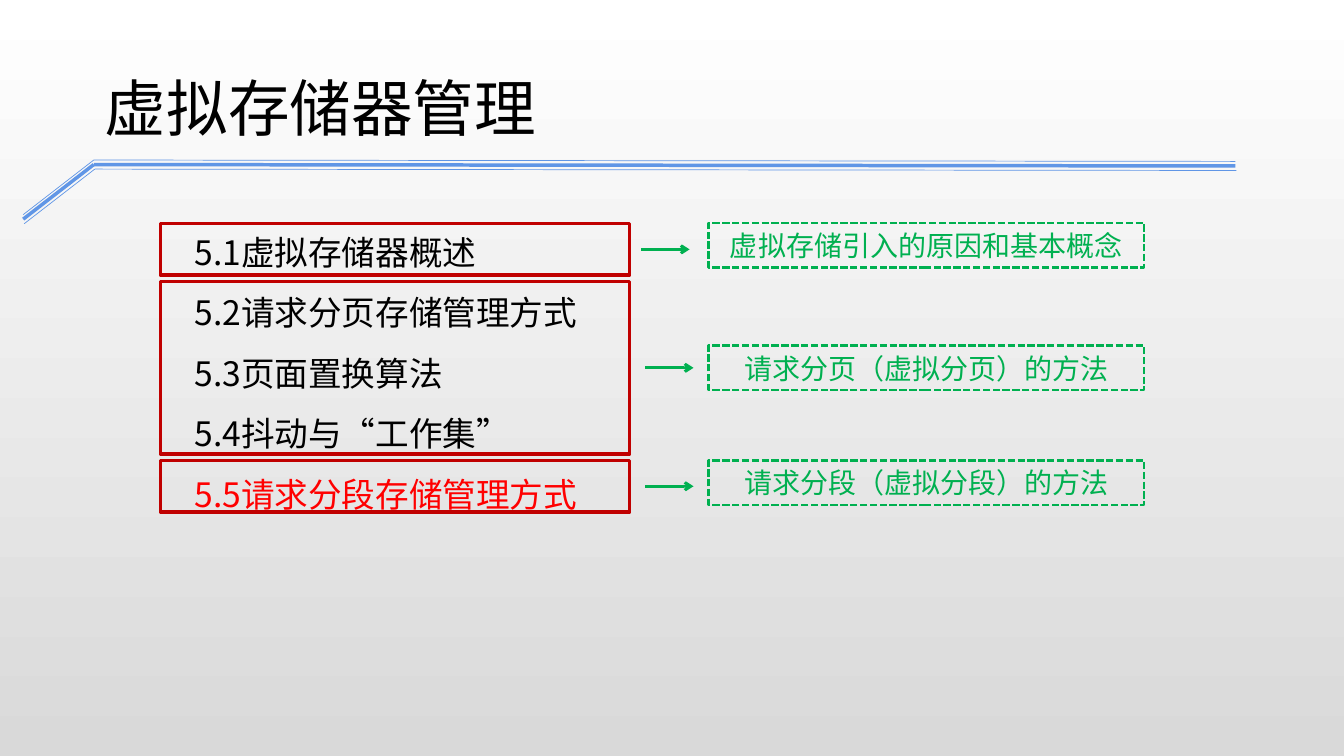
from dataclasses import dataclass
from lxml import etree
from pptx import Presentation
from pptx.dml.color import RGBColor
from pptx.enum.dml import MSO_LINE
from pptx.enum.shapes import MSO_CONNECTOR, MSO_SHAPE
from pptx.enum.text import MSO_ANCHOR, MSO_AUTO_SIZE, PP_ALIGN
from pptx.oxml.ns import qn
from pptx.util import Pt

STRAIGHT = MSO_CONNECTOR.STRAIGHT
RECTANGLE = MSO_SHAPE.RECTANGLE
DASHED = MSO_LINE.SQUARE_DOT
TOP, MIDDLE = MSO_ANCHOR.TOP, MSO_ANCHOR.MIDDLE
LEFT, CENTER = PP_ALIGN.LEFT, PP_ALIGN.CENTER
NO_AUTOFIT = MSO_AUTO_SIZE.NONE


@dataclass(frozen=True)
class Theme:
    """Colours, typeface and type sizes of the slide."""
    font: str = "Noto Sans CJK JP"
    ink: str = "000000"
    current: str = "FF0000"
    frame: str = "C00000"
    note: str = "00B050"
    rule: str = "6096E6"
    backdrop: tuple = ("FFFFFF", "D9D9D9")
    title_size: int = 44
    chapter_size: int = 24
    note_size: int = 20


THEME = Theme()
TITLE = "虚拟存储器管理"
CHAPTERS = [
    ("5.1虚拟存储器概述", THEME.ink),
    ("5.2请求分页存储管理方式", THEME.ink),
    ("5.3页面置换算法", THEME.ink),
    ("5.4抖动与“工作集”", THEME.ink),
    ("5.5请求分段存储管理方式", THEME.current),
]
GROUPS = [
    ("虚拟存储引入的原因和基本概念", 36.7, -3, 458),
    ("请求分页（虚拟分页）的方法", 123.1, 0, 460.8),
    ("请求分段（虚拟分段）的方法", 36.7, -2.5, 460.8),
]


def apply_format(target, values):
    """Set every attribute named in values on target."""
    for attribute, value in values.items():
        setattr(target, attribute, value)


def write(paragraph, text, size, color, **layout):
    """Put one formatted run into a paragraph."""
    apply_format(paragraph, layout)
    run = paragraph.add_run()
    run.text = text
    apply_format(run.font, {"name": THEME.font, "size": Pt(size), "bold": False})
    run.font.color.rgb = RGBColor.from_string(color)
    east_asian = etree.SubElement(run.font._element, qn("a:ea"))
    east_asian.set("typeface", THEME.font)


def style_line(line, color, width):
    """Give a line its colour and width."""
    line.color.rgb = RGBColor.from_string(color)
    line.width = Pt(width)


def draw_line(slide, start, end, color, width):
    """Join two points with a line that has no shadow."""
    segment = slide.shapes.add_connector(STRAIGHT, *map(Pt, start + end))
    style_line(segment.line, color, width)
    etree.SubElement(segment._element.spPr, qn("a:effectLst"))
    return segment


def draw_box(slide, box, color, width):
    """Draw an unfilled outlined rectangle."""
    outline = slide.shapes.add_shape(RECTANGLE, *map(Pt, box))
    outline.shadow.inherit = False
    outline.fill.background()
    style_line(outline.line, color, width)
    return outline


def paint_background(slide):
    """Fill the background with a top-to-bottom gradient."""
    fill = slide.background.fill
    fill.gradient()
    fill.gradient_angle = 270
    for stop, color in zip(fill.gradient_stops, THEME.backdrop):
        stop.color.rgb = RGBColor.from_string(color)


def add_rule(slide, left, top, width, height):
    """Draw the bent triple rule, spread downwards from the box top."""
    for shift, drop, weight in [(0, 0, 0.5), (0, 3.25, 2.5), (0.7, 6.5, 0.5)]:
        bend = (left + shift + 50.4, top + drop)
        foot = (left + shift, top + drop + height)
        tip = (left + shift + width, top + drop + 1)
        draw_line(slide, foot, bend, THEME.rule, weight)
        draw_line(slide, bend, tip, THEME.rule, weight)


def add_title(slide, left, top, width, height):
    """Place and format the slide title."""
    title = slide.shapes.title
    apply_format(title, {"left": Pt(left), "top": Pt(top),
                         "width": Pt(width), "height": Pt(height)})
    apply_format(title.text_frame, {"word_wrap": True, "auto_size": NO_AUTOFIT,
                                    "vertical_anchor": TOP})
    write(title.text_frame.paragraphs[0], TITLE, THEME.title_size, THEME.ink,
          alignment=LEFT, line_spacing=Pt(54))


def add_chapters(slide, left, top, width, height):
    """List the chapter sections, one paragraph each."""
    chapters = slide.shapes.add_textbox(*map(Pt, (left, top, width, height)))
    frame = chapters.text_frame
    apply_format(frame, {"word_wrap": True, "auto_size": NO_AUTOFIT})
    for index, (text, color) in enumerate(CHAPTERS):
        paragraph = frame.add_paragraph() if index else frame.paragraphs[0]
        write(paragraph, text, THEME.chapter_size, color, line_spacing=Pt(43.2))


def add_note(slide, left, top, width, height, text):
    """Draw a dashed box holding one explanation."""
    note = draw_box(slide, (left, top, width, height), THEME.note, 1.75)
    note.line.dash_style = DASHED
    apply_format(note.text_frame, {"word_wrap": True, "vertical_anchor": MIDDLE})
    write(note.text_frame.paragraphs[0], text, THEME.note_size, THEME.note,
          alignment=CENTER)


def add_groups(slide, left, top, width, gap):
    """Stack the section frames, each with its arrow and note."""
    note_height = 31.7
    for text, height, note_shift, arrow_left in GROUPS:
        draw_box(slide, (left, top, width, height), THEME.frame, 2.25)
        middle = top + height / 2
        arrow = draw_line(slide, (arrow_left, middle), (arrow_left + 34.6, middle),
                          THEME.note, 2)
        head = etree.SubElement(arrow.line._get_or_add_ln(), qn("a:tailEnd"))
        head.set("type", "arrow")
        note_top = middle + note_shift - note_height / 2
        add_note(slide, left + 391.7, note_top, 311, note_height, text)
        top += height + gap


def main():
    """Build and save the slide."""
    deck = Presentation()
    apply_format(deck, {"slide_width": Pt(960), "slide_height": Pt(540)})
    slide = deck.slides.add_slide(deck.slide_layouts[5])
    paint_background(slide)
    add_rule(slide, 16.6, 114.3, 865.8, 39)
    add_chapters(slide, 131.8, 147.6, 824.4, 268.6)
    add_title(slide, 67.7, 45.4, 685.4, 113.8)
    add_groups(slide, 114.5, 159.8, 335.5, 4.7)
    deck.save("out.pptx")


if __name__ == "__main__":
    main()
